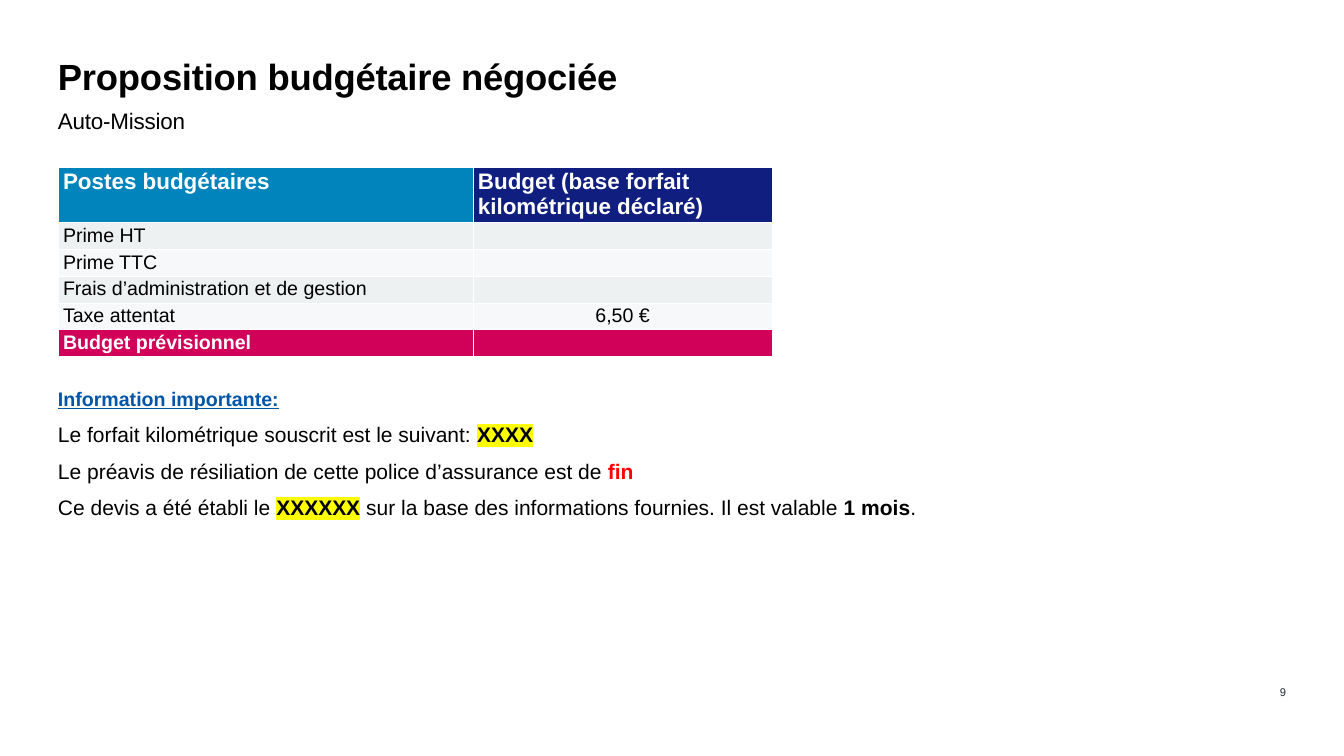
from lxml import etree
from pptx import Presentation
from pptx.dml.color import RGBColor
from pptx.enum import text
from pptx.oxml.ns import qn
from pptx.util import Inches, Pt

COLORS = {
    "black": "000000", "white": "FFFFFF", "dark": "262836", "link": "0055A8",
    "red": "FF0000", "yellow": "FFFF00", "blue": "0084BB", "navy": "101E7F",
    "band": "EDF1F2", "light": "F6F8F9", "pink": "D10058",
}
LEFT, WIDTH = 1.15, 24.36


def set_font(font, size, color="black", bold=False):
    font.name = "Arial"
    font.size = Pt(size)
    font.bold = bold
    font.color.rgb = RGBColor.from_string(COLORS[color])


def set_frame(shape, box, anchor):
    """Place a text shape and give it a wrapped frame without insets."""
    shape.left, shape.top, shape.width, shape.height = map(Inches, box)
    frame = shape.text_frame
    frame.margin_left = frame.margin_top = frame.margin_right = frame.margin_bottom = 0
    frame.word_wrap = True
    frame.auto_size = text.MSO_AUTO_SIZE.NONE
    frame.vertical_anchor = anchor
    return frame


presentation = Presentation()
presentation.slide_width, presentation.slide_height = Inches(26.66), Inches(15)
slide = presentation.slides.add_slide(presentation.slide_layouts[1])
title, body = slide.placeholders
subtitle = slide.shapes.add_textbox(0, 0, 0, 0)
page_number = slide.shapes.add_textbox(0, 0, 0, 0)

# Title, subtitle and page number
ANCHOR, ALIGN = text.MSO_ANCHOR, text.PP_ALIGN
for shape, box, anchor, align, words, size, color, bold, spacing in [
    (title, (LEFT, 1.05, WIDTH, 0.9), ANCHOR.BOTTOM, ALIGN.LEFT,
     "Proposition budgétaire négociée", 52, "black", True, "-30"),
    (subtitle, (LEFT, 1.94, 17.17, 0.9), ANCHOR.MIDDLE, ALIGN.LEFT,
     "Auto-Mission", 32, "black", False, "-30"),
    (page_number, (24.67, 13.07, 0.84, 0.8), ANCHOR.BOTTOM, ALIGN.RIGHT,
     "9", 16, "dark", False, "0"),
]:
    paragraph = set_frame(shape, box, anchor).paragraphs[0]
    paragraph.alignment = align
    run = paragraph.add_run()
    run.text = words
    set_font(run.font, size, color, bold)
    run.font._element.set("spc", spacing)

# Information list: each run is (words, color, bold, highlighted)
notes = [
    [("Information importante:", "link", True, False)],
    [("Le forfait kilométrique souscrit est le suivant: ", "black", False, False),
     ("XXXX", "black", True, True)],
    [("Le préavis de résiliation de cette police d’assurance est de ", "black", False, False),
     ("fin", "red", True, False)],
    [("Ce devis a été établi le ", "black", False, False),
     ("XXXXXX", "black", True, True),
     (" sur la base des informations fournies. Il est valable ", "black", False, False),
     ("1 mois", "black", True, False),
     (".", "black", False, False)],
]
frame = set_frame(body, (LEFT, 7.68, WIDTH, 4.55), ANCHOR.TOP)
for index, note in enumerate(notes):
    paragraph = frame.paragraphs[0] if index == 0 else frame.add_paragraph()
    paragraph.alignment = ALIGN.JUSTIFY
    paragraph.space_before = Pt(2 if index else 0)
    paragraph.space_after = Pt(14)
    properties = paragraph._p.get_or_add_pPr()
    properties.set("marL", "0")
    properties.set("indent", "0")
    etree.SubElement(properties, qn("a:buNone"))
    for words, color, bold, highlighted in note:
        run = paragraph.add_run()
        run.text = words
        set_font(run.font, 30 if index else 28, color, bold)
        if index == 0:
            run.font.underline = True
        if highlighted:
            highlight = etree.Element(qn("a:highlight"))
            etree.SubElement(highlight, qn("a:srgbClr"), val=COLORS["yellow"])
            run.font._element.find(qn("a:solidFill")).addnext(highlight)

# Budget table: each row is (cells, fills, size, text color, bold)
rows = [
    (("Postes budgétaires", "Budget (base forfait kilométrique déclaré)"),
     ("blue", "navy"), 32, "white", True),
    (("Prime HT", ""), ("band", "band"), 28, "black", False),
    (("Prime TTC", ""), ("light", "light"), 28, "black", False),
    (("Frais d’administration et de gestion", ""), ("band", "band"), 28, "black", False),
    (("Taxe attentat", "6,50 €"), ("light", "light"), 28, "black", False),
    (("Budget prévisionnel", ""), ("pink", "pink"), 28, "white", True),
]
HEADER_HEIGHT, ROW_HEIGHT = 1.1, 0.53
table = slide.shapes.add_table(
    len(rows), 2, Inches(LEFT), Inches(3.32), Inches(14.17),
    Inches(HEADER_HEIGHT + ROW_HEIGHT * (len(rows) - 1))).table
table.columns[0].width, table.columns[1].width = Inches(8.23), Inches(5.94)
for row_index, (cells, fills, size, color, bold) in enumerate(rows):
    table.rows[row_index].height = Inches(ROW_HEIGHT if row_index else HEADER_HEIGHT)
    for column_index, (words, fill) in enumerate(zip(cells, fills)):
        cell = table.cell(row_index, column_index)
        cell.margin_top = cell.margin_bottom = Inches(0.04)
        cell.fill.solid()
        cell.fill.fore_color.rgb = RGBColor.from_string(COLORS[fill])
        if words:
            cell.text = words
            paragraph = cell.text_frame.paragraphs[0]
            centred = row_index and column_index
            paragraph.alignment = ALIGN.CENTER if centred else ALIGN.LEFT
            set_font(paragraph.font, size, color, bold)

presentation.save("out.pptx")
